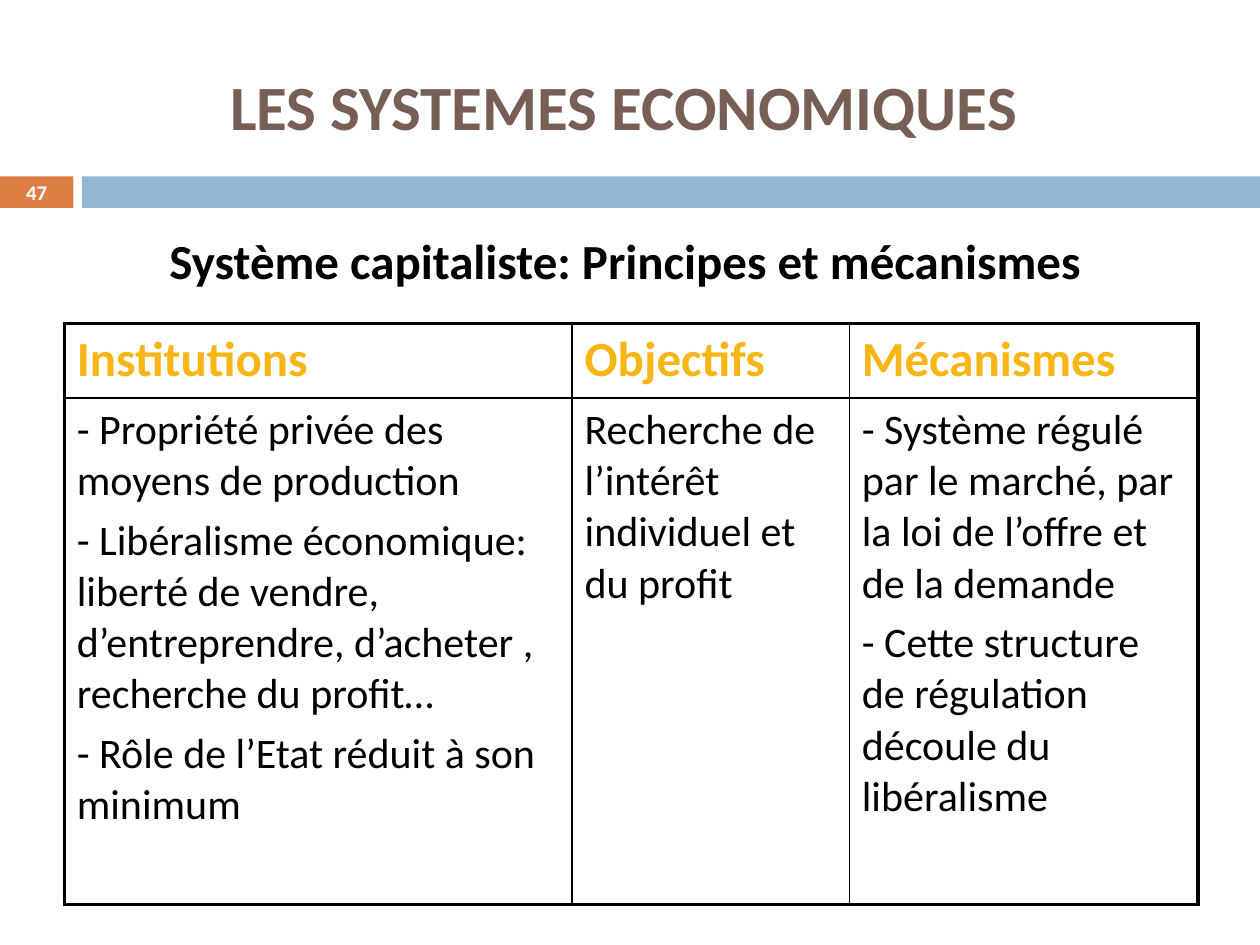
from lxml.etree import SubElement
from pptx import Presentation
from pptx.dml.color import RGBColor
from pptx.enum.shapes import MSO_SHAPE
from pptx.enum.text import MSO_ANCHOR as Anchor, PP_ALIGN as Align
from pptx.oxml.ns import qn
from pptx.util import Pt

BLACK, WHITE = "000000", "FFFFFF"
ORANGE, BLUE, BROWN, GOLD = "DD8047", "94B6D2", "775F55", "F7B615"
COLUMN_WIDTHS = [290.2, 158.4, 199.4]
ROW_HEIGHTS = [42.5, 289.4]
ROWS = [
    [["Institutions"], ["Objectifs"], ["Mécanismes"]],
    [
        ["- Propriété privée des moyens de production",
         "- Libéralisme économique: liberté de vendre, d’entreprendre, "
         "d’acheter , recherche du profit…",
         "- Rôle de l’Etat réduit à son minimum"],
        ["Recherche de l’intérêt individuel et du profit"],
        ["- Système régulé par le marché, par la loi de l’offre et de la demande",
         "- Cette structure de régulation découle du libéralisme"],
    ],
]
ROW_FORMATS = [
    {"size": Pt(28), "bold": True, "color": GOLD},
    {"size": Pt(24), "bold": False, "color": BLACK},
]


def rgb(value):
    """Turn a hex string into a colour."""
    return RGBColor.from_string(value)


def write(frame, texts, style, align=Align.LEFT, gap=0):
    """Fill a text frame with one paragraph per text."""
    frame.word_wrap = True
    for index, text in enumerate(texts):
        para = frame.add_paragraph() if index else frame.paragraphs[0]
        para.alignment = align
        para.space_before = Pt(gap if index else 0)
        span = para.add_run()
        span.text = text
        span.font.name = "Calibri"
        for name, value in style.items():
            if name == "color":
                span.font.color.rgb = rgb(value)
            else:
                setattr(span.font, name, value)


def place(shape, left, top, width, height):
    """Set the position and size of a shape in points."""
    box = {"left": left, "top": top, "width": width, "height": height}
    for name, value in box.items():
        setattr(shape, name, Pt(value))


def add_bar(page, left, width, color):
    """Add one plain segment of the band under the title."""
    bar = page.shapes.add_shape(MSO_SHAPE.RECTANGLE, Pt(left), Pt(100.8),
                                Pt(width), Pt(18))
    bar.shadow.inherit = False
    bar.fill.solid()
    bar.fill.fore_color.rgb = rgb(color)
    bar.line.fill.background()
    return bar


def add_title(page, text):
    """Move and format the title placeholder."""
    title = page.shapes.title
    place(title, 32.4, 34.6, 648, 51.1)
    title.text_frame.vertical_anchor = Anchor.MIDDLE
    write(title.text_frame, [text],
          {"size": Pt(36), "bold": True, "color": BROWN}, Align.CENTER)


def add_subtitle(page, text):
    """Add the centred heading above the table."""
    box = page.shapes.add_textbox(Pt(48.2), Pt(128.2), Pt(617.8), Pt(41))
    write(box.text_frame, [text],
          {"size": Pt(28), "bold": True, "color": BLACK}, Align.CENTER)


def set_borders(cell, widths):
    """Draw black cell borders; widths maps L, R, T, B to points."""
    props = cell._tc.get_or_add_tcPr()
    for side, width in widths.items():
        line = SubElement(props, qn(f"a:ln{side}"), w=str(Pt(width)))
        fill = SubElement(line, qn("a:solidFill"))
        SubElement(fill, qn("a:srgbClr"), val=BLACK)


def add_table(page):
    """Add the table with a thick frame and thin inner lines."""
    last_row, last_column = len(ROWS) - 1, len(COLUMN_WIDTHS) - 1
    table = page.shapes.add_table(
        len(ROWS), len(COLUMN_WIDTHS), Pt(36.7), Pt(185),
        Pt(sum(COLUMN_WIDTHS)), Pt(sum(ROW_HEIGHTS))).table
    table.first_row = table.horz_banding = False
    for column, width in zip(table.columns, COLUMN_WIDTHS):
        column.width = Pt(width)
    for r, (row, height) in enumerate(zip(table.rows, ROW_HEIGHTS)):
        row.height = Pt(height)
        for c, cell in enumerate(row.cells):
            outer = {"L": c == 0, "R": c == last_column,
                     "T": r == 0, "B": r == last_row}
            set_borders(cell, {side: 2.25 if edge else 1
                               for side, edge in outer.items()})
            cell.fill.background()
            write(cell.text_frame, ROWS[r][c], ROW_FORMATS[r], gap=4.8)


def main():
    """Build the slide and save it."""
    deck = Presentation()
    deck.slide_width, deck.slide_height = Pt(720), Pt(540)
    page = deck.slides.add_slide(deck.slide_layouts[5])
    number = add_bar(page, 0, 42, ORANGE)
    number.text_frame.vertical_anchor = Anchor.MIDDLE
    for side in ("left", "right", "top", "bottom"):
        setattr(number.text_frame, f"margin_{side}", 0)
    write(number.text_frame, ["47"],
          {"size": Pt(11.9), "bold": True, "color": WHITE}, Align.CENTER)
    add_bar(page, 46.8, 673.2, BLUE)
    add_title(page, "LES SYSTEMES ECONOMIQUES")
    add_subtitle(page, "Système capitaliste: Principes et mécanismes")
    add_table(page)
    deck.save("out.pptx")


main()
